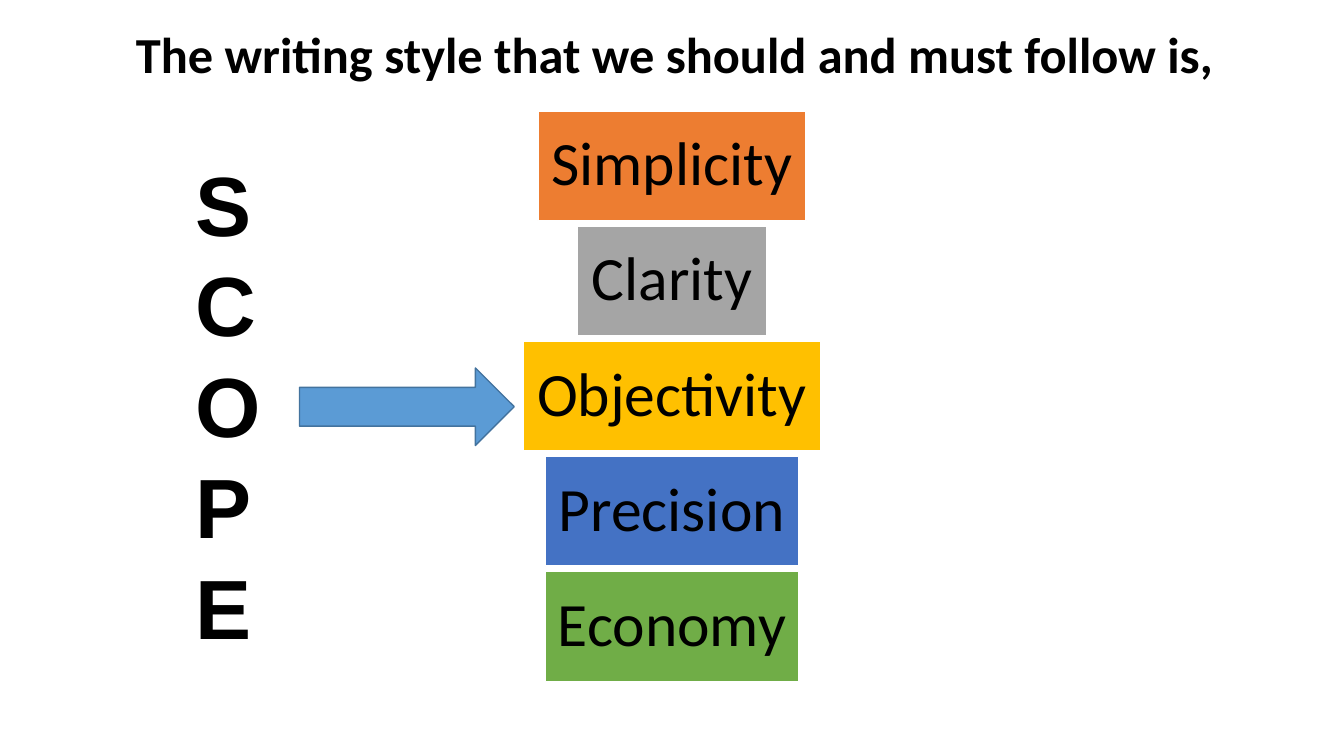
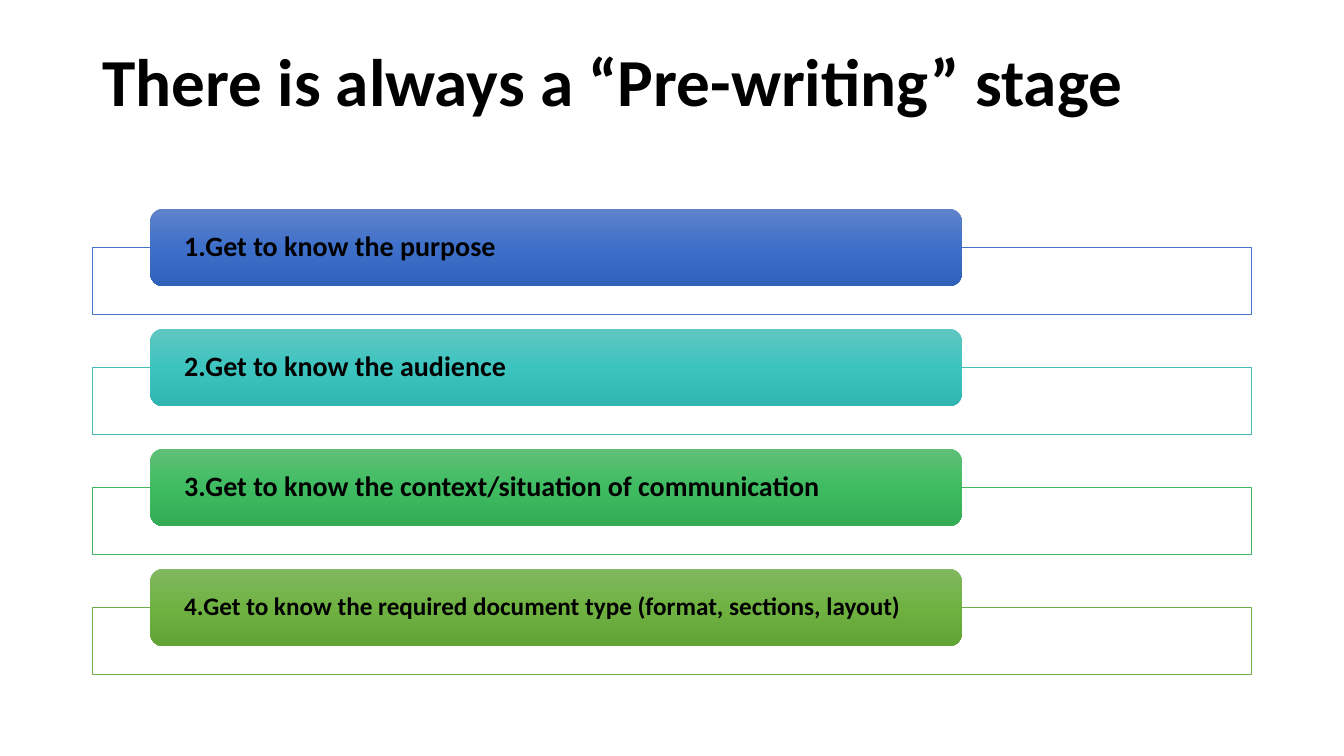
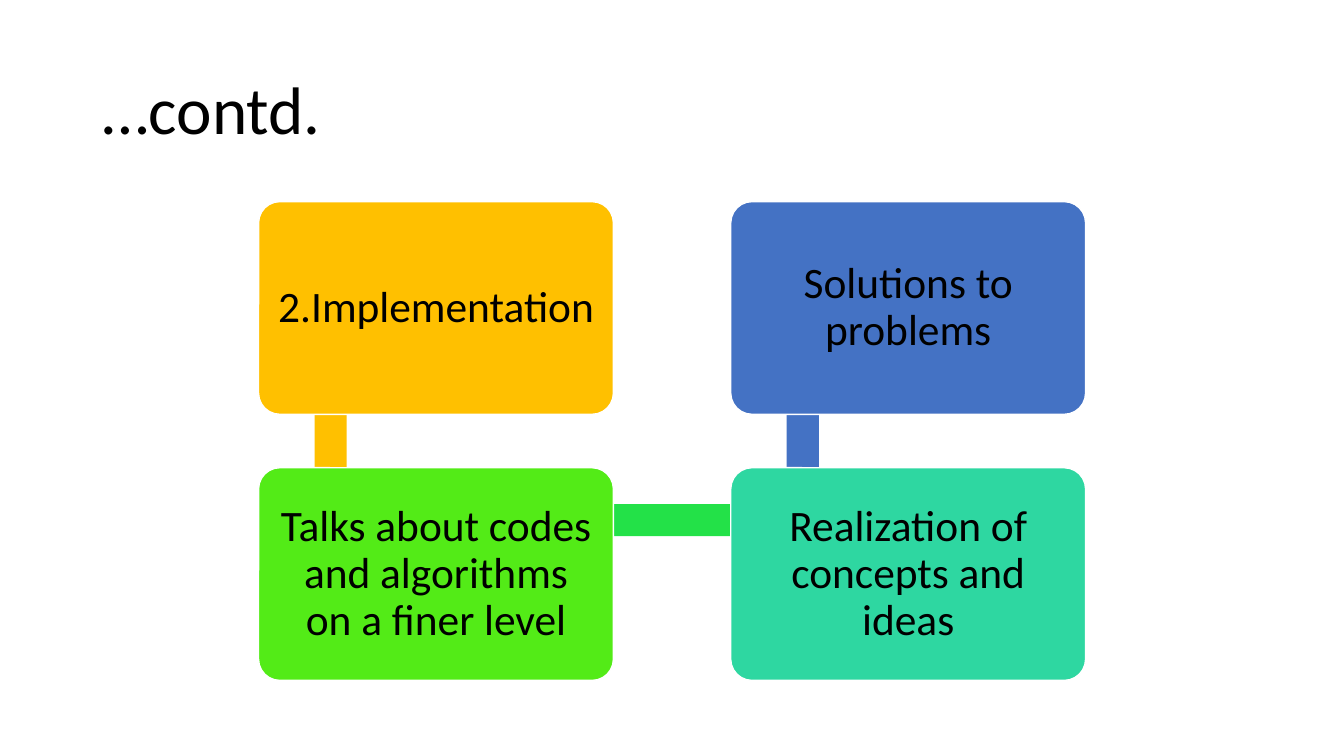
from copy import deepcopy

from pptx import Presentation
from pptx.dml.color import RGBColor
from pptx.enum.shapes import MSO_SHAPE as SHAPE
from pptx.enum.text import MSO_ANCHOR as ANCHOR, PP_ALIGN as ALIGN
from pptx.oxml.ns import qn
from pptx.util import Inches, Pt

prs = Presentation()
prs.slide_width, prs.slide_height = Inches(13.33), Inches(7.5)
W, H = prs.slide_width / 100, prs.slide_height / 100  # one percent of the slide

BLACK, WHITE = "000000", "FFFFFF"
ORANGE, GRAY, GOLD, BLUE, GREEN = "ED7D31", "A5A5A5", "FFC000", "4472C4", "70AD47"
TITLE_W = 86.25


def box(s, kind, x, y, w, h, fill=None, line=None, line_w=1):
    """Add a shape, or a text box if kind is None; lengths in percent of the slide."""
    at = [int(v) for v in (x * W, y * H, w * W, h * H)]
    if kind is None:
        return s.shapes.add_textbox(*at)
    sp = s.shapes.add_shape(kind, *at)
    sp.shadow.inherit = False
    if fill:
        sp.fill.solid()
        sp.fill.fore_color.rgb = RGBColor.from_string(fill)
    if line:
        sp.line.color.rgb = RGBColor.from_string(line)
        sp.line.width = Pt(line_w)
    else:
        sp.line.fill.background()
    return sp


def write(sp, lines, size, align=ALIGN.LEFT, anchor=ANCHOR.MIDDLE, spacing=0.9,
          inset=(0.1, 0.05), wrap=True, font="Calibri", bold=False):
    """Fill a shape with one paragraph per line; inset is (sides, top and bottom)."""
    tf = sp.text_frame
    mx, my = (Inches(v) for v in inset)
    frame = {"word_wrap": wrap, "vertical_anchor": anchor, "margin_left": mx,
             "margin_right": mx, "margin_top": my, "margin_bottom": my}
    for name, value in frame.items():
        setattr(tf, name, value)
    for i, text in enumerate(lines):
        p = tf.add_paragraph() if i else tf.paragraphs[0]
        p.alignment, p.line_spacing = align, spacing
        r = p.add_run()
        r.text = text
        for name, value in {"name": font, "size": Pt(size), "bold": bold}.items():
            setattr(r.font, name, value)
        r.font.color.rgb = RGBColor.from_string(BLACK)


# Slides and titles: text, left, top, height, size, bold
titles = [
    ("The writing style that we should and must follow is,", 9.38, 3.6, 7.87, 36, True),
    ("There is always a “Pre-writing” stage", 6.88, 5.31, 11.73, 48, True),
    ("…contd.", 6.88, 5.31, 19.33, 48, False),
]
slides = []
for text, x, y, h, size, bold in titles:
    s = prs.slides.add_slide(prs.slide_layouts[6])
    write(box(s, None, x, y, TITLE_W, h), [text], size, bold=bold)
    slides.append(s)
style_slide, stage_slide, contd_slide = slides

# Slide 1: stacked words, centred on the slide
words = [("Simplicity", 19.95, ORANGE), ("Clarity", 14.02, GRAY),
         ("Objectivity", 22.15, GOLD), ("Precision", 18.83, BLUE),
         ("Economy", 18.83, GREEN)]
for i, (word, w, color) in enumerate(words):
    sp = box(style_slide, SHAPE.RECTANGLE, 50 - w / 2, 14.67 + i * 15.23, w, 14.53,
             color, WHITE)
    write(sp, [word], 44, ALIGN.CENTER, inset=(0.12, 0.12), wrap=False)

# Slide 1: initials and arrow
initials = box(style_slide, None, 13.8, 19.47, 9.75, 68.67)
write(initials, "SCOPE", 60, anchor=ANCHOR.TOP, spacing=Pt(72), font="Arial", bold=True)
box(style_slide, SHAPE.RIGHT_ARROW, 22.28, 48.67, 15.98, 10.27, "5B9BD5", "43739E")

# Slide 2: framed steps, each with a three-stop gradient
steps = [
    ("1.Get to know the purpose", 20, BLUE, ("6183CB", "3E70CA", "3062BB")),
    ("2.Get to know the audience", 20, "43BEB9", ("60C6C1", "3DC4BF", "30B5B0")),
    ("3.Get to know the context/situation of communication", 20, "45B664",
     ("60C077", "3FBC62", "33AC55")),
    ("4.Get to know the required document type (format, sections, layout)", 18, GREEN,
     ("81B861", "6FB242", "62A336")),
]
for i, (text, size, outline, shades) in enumerate(steps):
    y = 27.6 + i * 15.87
    box(stage_slide, SHAPE.RECTANGLE, 6.88, y + 5.1, TITLE_W, 8.87, WHITE, outline, 0.5)
    sp = box(stage_slide, SHAPE.ROUNDED_RECTANGLE, 11.18, y, 60.4, 10.27)
    sp.fill.gradient()
    sp.fill.gradient_angle = 270
    stops = sp._element.spPr.find(qn("a:gradFill")).find(qn("a:gsLst"))
    stops.insert(1, deepcopy(stops[0]))
    for k, (stop, shade) in enumerate(zip(sp.fill.gradient_stops, shades)):
        stop.position = k / 2
        stop.color.rgb = RGBColor.from_string(shade)
    write(sp, [text], size, inset=(0.3, 0), bold=True)

# Slide 3: grid of two by two cards, with links between their hubs
cols, rows = (19.24, 54.37), (26.67, 61.87)
hub_x, hub_y = [x + 5.36 for x in cols], [y + 6.93 for y in rows]
thick_x, thick_y = 2.4, 4.27
for x, color in zip(hub_x, (GOLD, BLUE)):
    box(contd_slide, SHAPE.RECTANGLE, x - thick_x / 2, hub_y[0], thick_x,
        hub_y[1] - hub_y[0], color)
box(contd_slide, SHAPE.RECTANGLE, hub_x[0], hub_y[1] - thick_y / 2,
    hub_x[1] - hub_x[0], thick_y, "23E148")

cards = [
    (0, 0, "2.Implementation", GOLD),
    (0, 1, "Talks about codes and algorithms on a finer level", "53EB17"),
    (1, 1, "Realization of concepts and ideas", "2ED7A1"),
    (1, 0, "Solutions to problems", BLUE),
]
for col, row, text, color in cards:
    sp = box(contd_slide, SHAPE.ROUNDED_RECTANGLE, cols[col], rows[row], 26.4, 28.13,
             color, WHITE)
    sp.adjustments[0] = 0.1
    write(sp, [text], 31, ALIGN.CENTER, inset=(0.13, 0.13))

prs.save("out.pptx")
